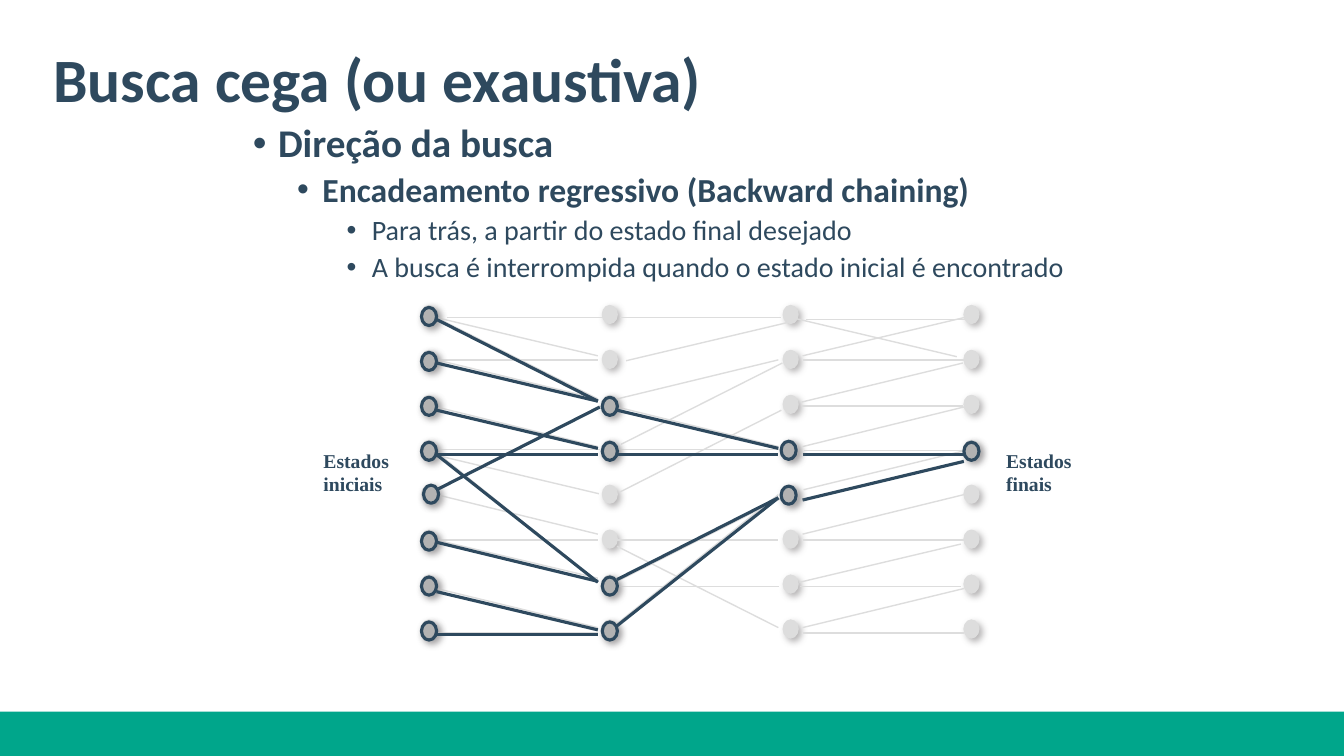
from lxml import etree
from pptx import Presentation
from pptx import util as u
from pptx.dml.color import RGBColor
from pptx.enum import shapes, text
from pptx.oxml.ns import qn

NAVY = RGBColor(0x2E, 0x49, 0x5E)
GREEN = RGBColor(0x00, 0xA6, 0x8B)
PALE = RGBColor(0xDD, 0xDD, 0xDD)
GRAY = RGBColor(0xB2, 0xB2, 0xB2)
SHADOW = RGBColor(0x9F, 0x9D, 0x9E)

# Content: text boxes as (left, top, width, height) and their paragraphs
TITLE = "Busca cega (ou exaustiva)"
BULLETS = [  # text, size, bold, indent
    ("Direção da busca", 28, True, 0.75),
    ("Encadeamento regressivo (Backward chaining)", 24, True, 1.19),
    ("Para trás, a partir do estado final desejado", 20, False, 1.68),
    ("A busca é interrompida quando o estado inicial é encontrado", 20, False, 1.68),
]
LABELS = [(3.11, ["Estados", "iniciais"]), (9.88, ["Estados", "finais"])]

# Content: edges as (gap between columns, left row, right row, shift right)
PALE_EDGES = [
    (0, 0.07, 0.92, 0), (0, 1.01, 1.01, 0), (0, 2.06, 2.94, 0),
    (0, 4.01, 4.89, 0), (0, 5.02, 5.02, 0), (0, 6.1, 6.97, 0),
    (0, 7.09, 7.09, 0), (2, 0.92, 0.07, 0), (2, 1.01, 1.01, 0),
    (2, 2.94, 2.06, 0), (2, 4.89, 4.01, 0), (2, 5.02, 5.02, 0),
    (2, 6.97, 6.1, 0), (2, 7.09, 7.09, 0), (0, 3.88, 2.06, 0),
    (1, 1.88, 1.01, 0), (1, 5.02, 5.02, 0), (1, 2.06, 2.94, 0),
    (1, 5.16, 6.97, 0), (1, 6.88, 4.01, 0), (0, 5.02, 5.87, 0),
    (0, 0.07, 1.88, 0), (0, 1.01, 1.88, 0), (2, 3.9, 3.03, 0.01),
    (2, 3.03, 3.03, 0.01), (0, 3.14, 3.99, 0.01), (1, 3.95, 2.13, 0.03),
    (1, 2.89, 1.08, 0.04), (2, 1.95, 1.08, -0.01), (2, 2.04, 2.04, -0.01),
    (2, 5.96, 5.11, -0.03), (2, 6.05, 6.05, -0.03), (1, 6.05, 6.05, 0.01),
    (0, 0.07, 0.07, 0.1), (1, 0.07, 0.07, 0.03), (2, 0.09, 0.94, -0.07),
    (2, 0.11, 0.11, 0.03), (1, 1.03, 0.18, 0.09), (1, 3, 3, 0.01),
    (1, 5.92, 4.1, 0.02), (0, 3.05, 5.94, -0.01), (0, 3, 3, 0.02),
    (1, 3, 3, -0.03),
]
DARK_EDGES = [
    (0, 2.13, 2.98, 0), (0, 3.12, 3.12, 0), (0, 6.17, 7.02, 0),
    (0, 7.13, 7.13, 0), (2, 3.12, 3.12, 0), (1, 2.13, 2.98, 0),
    (2, 4.13, 3.27, 0), (1, 3.12, 3.12, 0), (1, 6.93, 4.08, 0),
    (1, 5.9, 4.08, 0), (0, 5.07, 5.94, 0), (0, 3.12, 5.96, 0),
    (0, 0.11, 1.93, 0), (0, 1.08, 1.93, 0),
]
PALE_STYLE = {"fill": PALE, "line": PALE, "outline": 0.75, "edge": 1}
DARK_STYLE = {"fill": GRAY, "line": NAVY, "outline": 2.25, "edge": 2.25}

# Layers from back to front: style, node rows by column, node shift, edges
ALL_ROWS = range(8)
LAYERS = [
    (PALE_STYLE, {column: ALL_ROWS for column in range(4)}, (0, 0), PALE_EDGES),
    (DARK_STYLE, {0: (0, 1, 2, 3, 5, 6, 7), 1: (2, 3, 6, 7), 3: (3,)},
     (0, 0.02), DARK_EDGES),
    (DARK_STYLE, {2: (3, 4)}, (-0.02, 0.01), []),
    (DARK_STYLE, {0: (4,)}, (0.02, 0), [(0, 3.88, 2.06, 0.02)]),
]

# Grid of the state graph, in inches
LEFT, TOP, COLUMN_STEP, ROW_STEP = 4.18, 3.03, 5.38 / 3, 3.12 / 7
NODE_WIDTH, NODE_HEIGHT = 0.15, 0.18
EDGE_STARTS, EDGE_WIDTH = (4.33, 6.12, 7.96), 1.6

presentation = Presentation()
presentation.slide_width, presentation.slide_height = u.Inches(13.33), u.Inches(7.5)
slide = presentation.slides.add_slide(presentation.slide_layouts[6])


def add_shape(kind, box, fill):
    shape = slide.shapes.add_shape(kind, *map(u.Inches, box))
    shape.shadow.inherit = False
    shape.fill.solid()
    shape.fill.fore_color.rgb = fill
    return shape


def add_node(column, row, shift, style):
    left = LEFT + column * COLUMN_STEP + shift[0]
    top = TOP + row * ROW_STEP + shift[1]
    node = add_shape(shapes.MSO_SHAPE.OVAL,
                     (left, top, NODE_WIDTH, NODE_HEIGHT), style["fill"])
    node.line.color.rgb = style["line"]
    node.line.width = u.Pt(style["outline"])
    effects = node._element.spPr.find(qn("a:effectLst"))
    shadow = etree.SubElement(effects, qn("a:outerShdw"), blurRad=str(u.Pt(5)),
                              dist=str(u.Pt(3)), dir="2700000", rotWithShape="0")
    color = etree.SubElement(shadow, qn("a:srgbClr"), val=str(SHADOW))
    etree.SubElement(color, qn("a:alpha"), val="75000")


def add_edge(gap, left_row, right_row, shift, style):
    start = EDGE_STARTS[gap] + shift
    first, last = (TOP + NODE_HEIGHT / 2 + row * ROW_STEP
                   for row in (left_row, right_row))
    edge = slide.shapes.add_connector(
        shapes.MSO_CONNECTOR.STRAIGHT,
        *map(u.Inches, (start, first, start + EDGE_WIDTH, last)))
    edge.line.color.rgb = style["line"]
    edge.line.width = u.Pt(style["edge"])
    etree.SubElement(edge._element.spPr, qn("a:effectLst"))


def add_text(box, lines, anchor, wrap, line_spacing=1.0):
    """Each line is (text, size, bold, font name, bullet indent or None)."""
    frame = slide.shapes.add_textbox(*map(u.Inches, box)).text_frame
    frame.word_wrap, frame.vertical_anchor = wrap, anchor
    for index, (words, size, bold, name, indent) in enumerate(lines):
        paragraph = frame.add_paragraph() if index else frame.paragraphs[0]
        paragraph.line_spacing = line_spacing
        if indent:
            paragraph.space_before = u.Pt(5 if index else 0)
            properties = paragraph._p.get_or_add_pPr()
            properties.set("marL", str(u.Inches(indent)))
            properties.set("indent", str(u.Inches(-0.25)))
            etree.SubElement(properties, qn("a:buFont"), typeface="Arial")
            etree.SubElement(properties, qn("a:buChar"), char="•")
        run = paragraph.add_run()
        run.text = words
        font_format = {"name": name, "size": u.Pt(size), "bold": bold}
        for key, value in font_format.items():
            setattr(run.font, key, value)
        run.font.color.rgb = NAVY
    return frame


# Footer band
band = add_shape(shapes.MSO_SHAPE.RECTANGLE, (0, 7.06, 13.33, 0.44), GREEN)
band.line.fill.background()

# State graph
for style, nodes, shift, edges in LAYERS:
    for column, rows in nodes.items():
        for row in rows:
            add_node(column, row, shift, style)
    for edge in edges:
        add_edge(*edge, style)

# Labels beside the graph
for left, words in LABELS:
    add_text((left, 4.4, 0.91, 0.57),
             [(word, 14, True, "Times New Roman", None) for word in words],
             text.MSO_ANCHOR.MIDDLE, False)

# Title and bullets
add_text((0.43, 0.09, 11.5, 1.45), [(TITLE, 44, True, "Calibri", None)],
         text.MSO_ANCHOR.MIDDLE, True, 0.9)
body = add_text((1.91, 1.18, 9.5, 3.62),
                [(words, size, bold, "Calibri", indent)
                 for words, size, bold, indent in BULLETS],
                text.MSO_ANCHOR.TOP, True, 0.9)
body.margin_right = 0

presentation.save("out.pptx")
